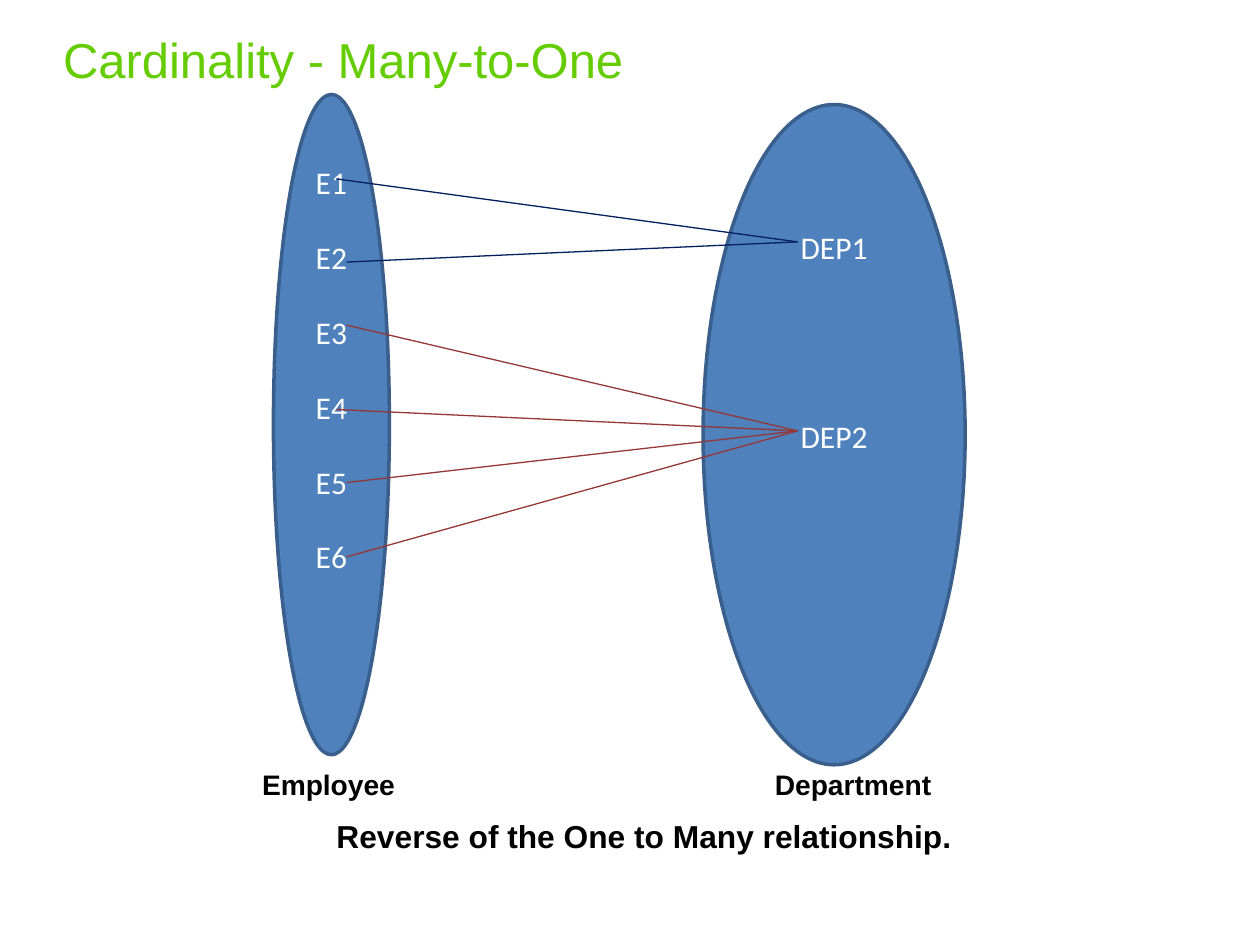
import pptx
import pptx.dml.color
import pptx.enum.shapes
import pptx.enum.text
import pptx.oxml.ns
import pptx.util
from lxml import etree

Inches = pptx.util.Inches
Pt = pptx.util.Pt

COLORS = {
    "title": "65CC00",
    "set_fill": "4F81BD",
    "set_line": "3A5F8C",
    "member": "FFFFFF",
    "label": "000000",
    "first_department": "002060",
    "second_department": "953735",
}


def rgb(name):
    return pptx.dml.color.RGBColor.from_string(COLORS[name])


def format_font(paragraph, font_name, size, color, bold=False):
    for run in paragraph.runs:
        run.font.name = font_name
        run.font.size = Pt(size)
        run.font.bold = bold
        run.font.color.rgb = rgb(color)


def add_label(slide, text, left, top, width, height, size, spacing,
              color="label", bold=True, wrap=False):
    shape = slide.shapes.add_textbox(
        Inches(left), Inches(top), Inches(width), Inches(height))
    frame = shape.text_frame
    frame.margin_left = frame.margin_right = 0
    frame.margin_top = frame.margin_bottom = 0
    frame.word_wrap = wrap
    frame.auto_size = pptx.enum.text.MSO_AUTO_SIZE.SHAPE_TO_FIT_TEXT
    frame.text = text
    paragraph = frame.paragraphs[0]
    paragraph.line_spacing = Pt(spacing)
    format_font(paragraph, "Arial", size, color, bold)


def add_entity_set(slide, members, left, top, width, height, gap, bottom_margin):
    shape = slide.shapes.add_shape(
        pptx.enum.shapes.MSO_SHAPE.OVAL,
        Inches(left), Inches(top), Inches(width), Inches(height))
    shape.shadow.inherit = False
    shape.fill.solid()
    shape.fill.fore_color.rgb = rgb("set_fill")
    shape.line.color.rgb = rgb("set_line")
    shape.line.width = Pt(2)
    frame = shape.text_frame
    frame.vertical_anchor = pptx.enum.text.MSO_ANCHOR.MIDDLE
    frame.margin_bottom = Inches(bottom_margin)
    frame.text = "\n".join(members)
    for index, paragraph in enumerate(frame.paragraphs):
        paragraph.alignment = pptx.enum.text.PP_ALIGN.CENTER
        if index:
            paragraph.space_before = Pt(gap)
        format_font(paragraph, "Calibri", 18, "member")


def add_relationship(slide, start, end, color):
    connector = slide.shapes.add_connector(
        pptx.enum.shapes.MSO_CONNECTOR.STRAIGHT,
        *(Inches(value) for value in start + end))
    connector.line.color.rgb = rgb(color)
    connector.line.width = Pt(0.75)
    properties = connector._element.spPr
    etree.SubElement(properties, pptx.oxml.ns.qn("a:effectLst"))


def main():
    presentation = pptx.Presentation()
    presentation.slide_width = Inches(10)
    presentation.slide_height = Inches(7.5)
    slide = presentation.slides.add_slide(presentation.slide_layouts[6])

    add_label(slide, "Cardinality - Many-to-One", 0.5, 0.25, 6.72, 0.45,
              28, 32.2, color="title", bold=False, wrap=True)

    employees = [f"E{number}" for number in range(1, 7)]
    add_entity_set(slide, employees, 2.17, 0.75, 0.92, 5.24, 21.2, 0.93)
    add_entity_set(slide, ["DEP1", "DEP2"], 5.58, 0.83, 2.08, 5.24, 86, 1.53)

    relationships = [
        ("first_department", (6.33, 1.92), [(2.67, 1.42), (2.75, 2.08)]),
        ("second_department", (6.33, 3.42),
         [(2.75, 2.58), (2.67, 3.25), (2.75, 3.83), (2.75, 4.42)]),
    ]
    for color, department, starts in relationships:
        for start in starts:
            add_relationship(slide, start, department, color)

    add_label(slide, "Employee", 2.08, 6.1, 1.36, 0.32, 16.1, 18.4)
    add_label(slide, "Department", 6.15, 6.1, 1.54, 0.32, 16.1, 18.4)
    add_label(slide, "Reverse of the One to Many relationship.",
              2.67, 6.5, 5.22, 0.38, 18.1, 20.7)

    presentation.save("out.pptx")


if __name__ == "__main__":
    main()
